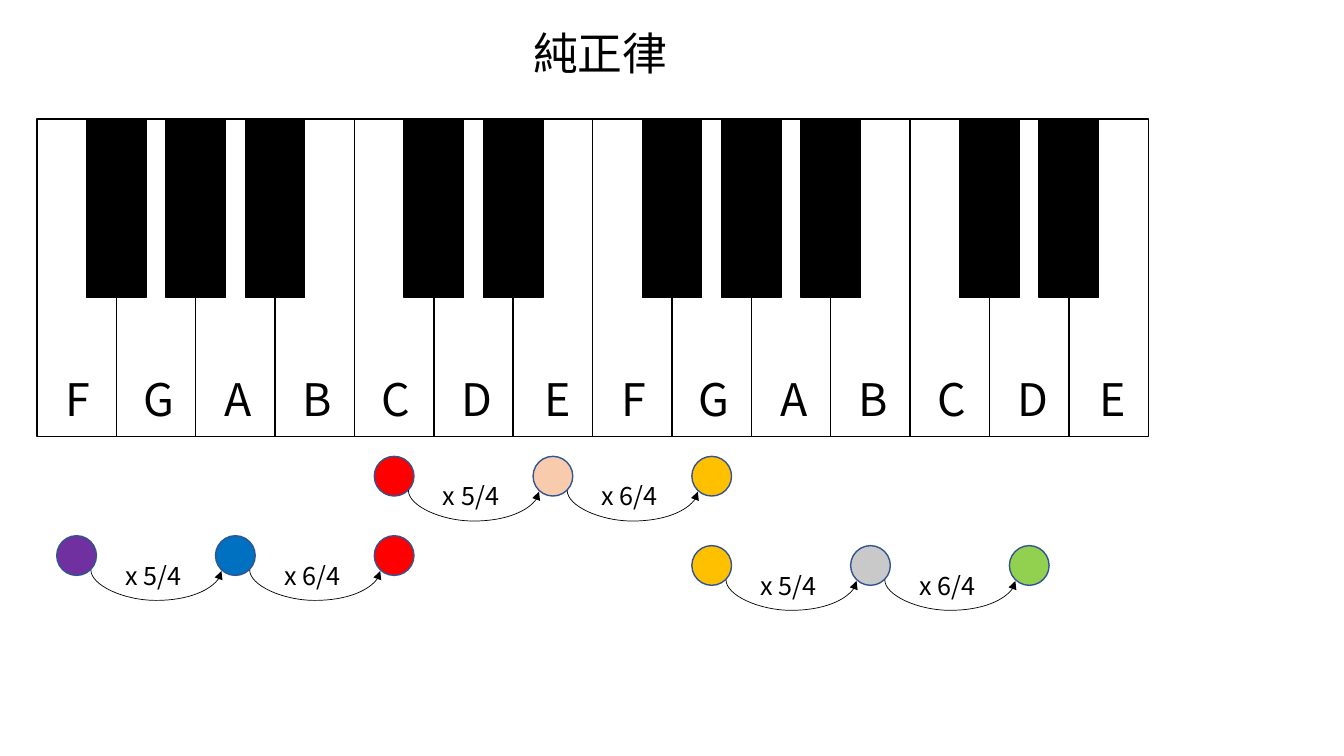
import dataclasses
import itertools

import lxml.etree
import pptx
import pptx.dml.color
import pptx.enum.shapes
import pptx.enum.text
import pptx.oxml.ns
import pptx.util

CELL = pptx.util.Cm(1)
FONT = "Noto Sans CJK JP"
COLORS = {
    "black": "000000", "white": "FFFFFF", "outline": "325491",
    "red": "FF0000", "peach": "F8CBAD", "amber": "FFC000",
    "purple": "7030A0", "blue": "0070C0", "gray": "C9C9C9", "green": "92D050",
}
KEYBOARD_LEFT, KEYBOARD_TOP = 0.93, 3
KEY_COLS, KEY_ROWS = 2, 8
SHARP_COLS, SHARP_ROWS, SHARP_OFFSET = 1.5, 4.5, 1.25
LABEL_TOP, LABEL_ROWS = 9.25, 1.63
KEYS = "FGABCDE" * 2
SHARPS = "FGACD"
RATIOS = ("x 5/4", "x 6/4")
DOT_OFFSET, DOT_EDGE, DOT_STEP = 0.5, 0.86, 4
ARC_SPAN, ARC_RISE, ARC_DEPTH = 3.29, 0.03, 0.77
SHAPES = pptx.enum.shapes.MSO_SHAPE


@dataclasses.dataclass(frozen=True)
class Note:
    offset: float
    cols: float


@dataclasses.dataclass(frozen=True)
class Chord:
    root: int
    row: float
    colors: tuple[str, str, str]


NOTES = {
    "C": Note(0.44, 1.3), "D": Note(0.45, 1.37), "E": Note(0.53, 1.22),
    "F": Note(0.47, 1.22), "G": Note(0.43, 1.35), "A": Note(0.48, 1.24),
    "B": Note(0.44, 1.3),
}
CHORDS = (
    Chord(4, 11.5, ("red", "peach", "amber")),
    Chord(8, 13.75, ("amber", "gray", "green")),
    Chord(0, 13.5, ("purple", "blue", "red")),
)


def grid(*cells: float) -> list[int]:
    return [round(c * CELL) for c in cells]


def rgb(name: str) -> pptx.dml.color.RGBColor:
    return pptx.dml.color.RGBColor.from_string(COLORS[name])


def add_shape(kind, col: float, row: float, cols: float, rows: float,
              fill: str, line: str) -> None:
    sp = slide.shapes.add_shape(kind, *grid(col, row, cols, rows))
    sp.shadow.inherit = False
    sp.fill.solid()
    sp.fill.fore_color.rgb = rgb(fill)
    sp.line.color.rgb = rgb(line)
    sp.line.width = pptx.util.Pt(1)


def add_text(text: str, col: float, row: float, cols: float, rows: float,
             size: int) -> None:
    tf = slide.shapes.add_textbox(*grid(col, row, cols, rows)).text_frame
    tf.word_wrap = False
    tf.auto_size = pptx.enum.text.MSO_AUTO_SIZE.SHAPE_TO_FIT_TEXT
    r = tf.paragraphs[0].add_run()
    r.text = text
    r.font.color.rgb = rgb("black")
    for name, value in {"name": FONT, "size": pptx.util.Pt(size)}.items():
        setattr(r.font, name, value)
    ea = lxml.etree.SubElement(r.font._element, pptx.oxml.ns.qn("a:ea"))
    ea.set("typeface", FONT)


def add_arc(col: float, row: float) -> None:
    left = col + (ARC_SPAN - ARC_RISE) / 2
    top = row + (ARC_RISE - ARC_SPAN) / 2
    cxn = slide.shapes.add_connector(
        pptx.enum.shapes.MSO_CONNECTOR.CURVE,
        *grid(left, top, left + ARC_RISE, top + ARC_SPAN))
    cxn.line.color.rgb = rgb("black")
    cxn.line.width = pptx.util.Pt(0.5)
    props = cxn.element.spPr
    for name, value in {"rot": "16200000", "flipH": "1"}.items():
        props.xfrm.set(name, value)
    guides = props.find(".//" + pptx.oxml.ns.qn("a:avLst"))
    guide = lxml.etree.SubElement(guides, pptx.oxml.ns.qn("a:gd"))
    guide.set("name", "adj1")
    guide.set("fmla", f"val {round(ARC_DEPTH / ARC_RISE * 100000)}")
    tail = lxml.etree.SubElement(props.find(pptx.oxml.ns.qn("a:ln")),
                                 pptx.oxml.ns.qn("a:tailEnd"))
    tail.set("type", "triangle")
    lxml.etree.SubElement(props, pptx.oxml.ns.qn("a:effectLst"))


def key_left(index: int) -> float:
    return KEYBOARD_LEFT + index * KEY_COLS


def draw_keyboard() -> None:
    for i in range(len(KEYS)):
        add_shape(SHAPES.RECTANGLE, key_left(i), KEYBOARD_TOP,
                  KEY_COLS, KEY_ROWS, "white", "black")
    for i, name in enumerate(KEYS):
        if name in SHARPS:
            add_shape(SHAPES.RECTANGLE, key_left(i) + SHARP_OFFSET, KEYBOARD_TOP,
                      SHARP_COLS, SHARP_ROWS, "black", "black")
        note = NOTES[name]
        add_text(name, key_left(i) + note.offset, LABEL_TOP,
                 note.cols, LABEL_ROWS, 32)


def draw_chord(chord: Chord) -> None:
    left = key_left(chord.root) + DOT_OFFSET
    for col, color in zip(itertools.count(left, DOT_STEP), chord.colors):
        add_shape(SHAPES.OVAL, col, chord.row, 1, 1, color, "outline")
    for col, ratio in zip(itertools.count(left, DOT_STEP), RATIOS):
        add_arc(col + DOT_EDGE, chord.row + DOT_EDGE)
        add_text(ratio, col + 1.48, chord.row + 0.49, 2.03, 1.02, 18)


prs = pptx.Presentation()
prs.slide_width = pptx.util.Inches(13.33)
prs.slide_height = pptx.util.Inches(7.5)
slide = prs.slides.add_slide(prs.slide_layouts[6])
draw_keyboard()
for chord in CHORDS:
    draw_chord(chord)
add_text("純正律", 13.18, 0.53, 3.94, LABEL_ROWS, 32)
prs.save("out.pptx")
